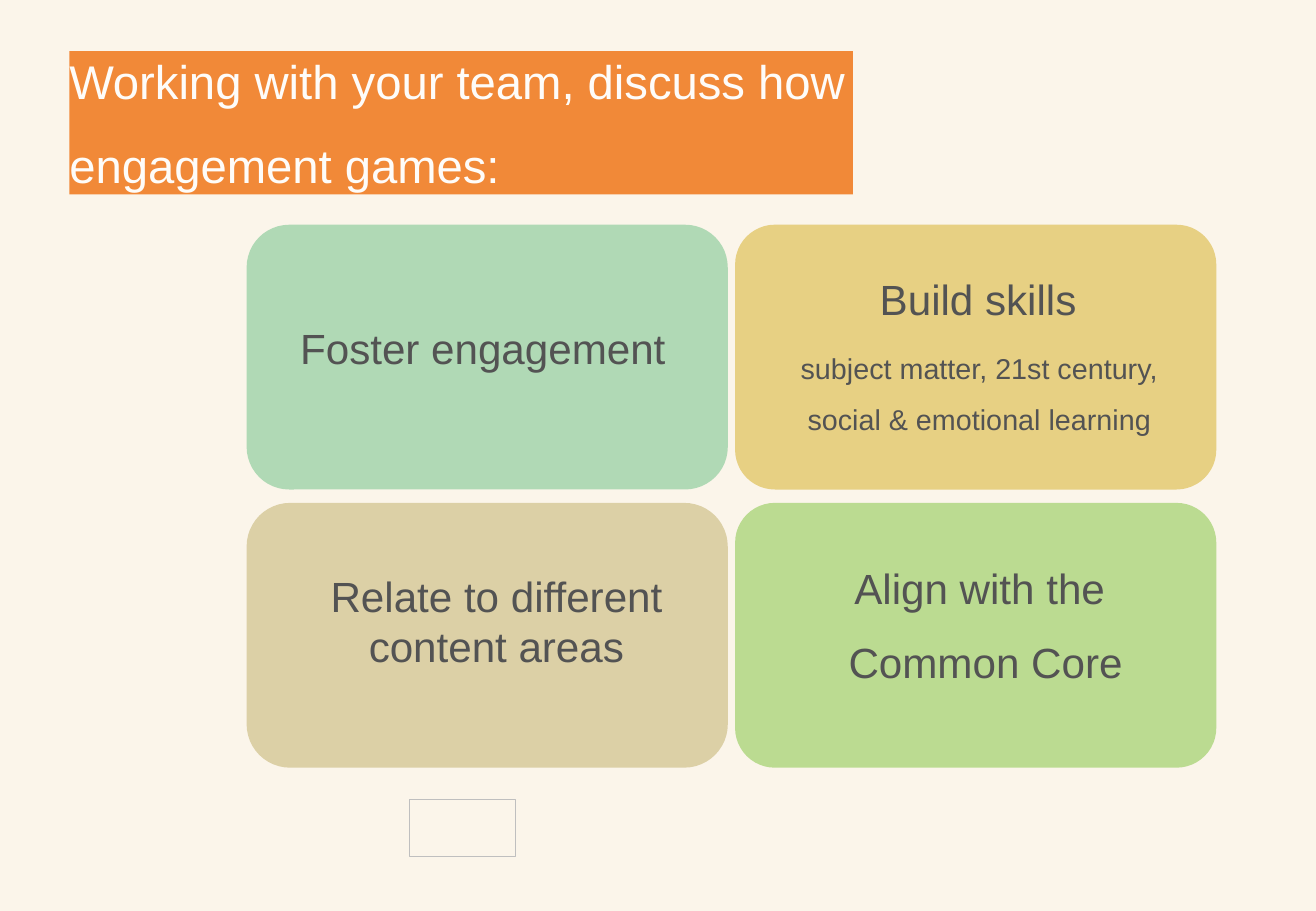
from pptx import Presentation
from pptx.dml.color import RGBColor
from pptx.enum.shapes import MSO_SHAPE
from pptx.enum.text import MSO_ANCHOR, PP_ALIGN
from pptx.util import Inches, Pt

RECTANGLE, ROUNDED = MSO_SHAPE.RECTANGLE, MSO_SHAPE.ROUNDED_RECTANGLE
LEFT, CENTER = PP_ALIGN.LEFT, PP_ALIGN.CENTER
MIDDLE = MSO_ANCHOR.MIDDLE

COLORS = {
    "background": "FBF5EA",
    "frame": "BFBFBF",
    "title": "F18938",
    "title text": "FEFCF9",
    "text": "535353",
    "mint": "B0D9B5",
    "gold": "E7D083",
    "sand": "DCD0A6",
    "green": "BBDB91",
}
SPACE_RATIO = 0.56  # space between paragraphs, relative to text size


def color(name):
    return RGBColor.from_string(COLORS[name])


def write(shape, lines, size, text_color, align, wrap=False):
    """Fill a shape with one paragraph per line, without insets."""
    frame = shape.text_frame
    frame.margin_left = frame.margin_right = 0
    frame.margin_top = frame.margin_bottom = 0
    frame.vertical_anchor = MIDDLE
    frame.word_wrap = wrap
    frame.text = "\n".join(lines)
    for index, paragraph in enumerate(frame.paragraphs):
        paragraph.alignment = align
        paragraph.font.name = "Arial"
        paragraph.font.size = Pt(size)
        paragraph.font.color.rgb = color(text_color)
        if index:
            paragraph.space_before = Pt(round(size * SPACE_RATIO))


prs = Presentation()
prs.slide_width, prs.slide_height = Inches(10.83), Inches(7.5)
slide = prs.slides.add_slide(prs.slide_layouts[6])
slide.background.fill.solid()
slide.background.fill.fore_color.rgb = color("background")
shapes = slide.shapes

footer_frame = shapes.add_shape(
    RECTANGLE, Inches(3.37), Inches(6.58), Inches(0.87), Inches(0.47))
footer_frame.shadow.inherit = False
footer_frame.fill.background()
footer_frame.line.color.rgb = color("frame")
footer_frame.line.width = Pt(0.75)

title = shapes.add_shape(
    RECTANGLE, Inches(0.57), Inches(0.42), Inches(6.45), Inches(1.18))
title.shadow.inherit = False
title.fill.solid()
title.fill.fore_color.rgb = color("title")
title.line.fill.background()
write(title, ["Working with your team, discuss how", "engagement games:"],
      28, "title text", LEFT)

# Two by two cards: fill and corner rounding, row by row
cards = [("mint", 0.161), ("gold", 0.15), ("sand", 0.164), ("green", 0.15)]
for index, (fill, rounding) in enumerate(cards):
    row, column = divmod(index, 2)
    card = shapes.add_shape(
        ROUNDED, Inches(2.03 + 4.02 * column), Inches(1.85 + 2.29 * row),
        Inches(3.96), Inches(2.18))
    card.adjustments[0] = rounding
    card.shadow.inherit = False
    card.fill.solid()
    card.fill.fore_color.rgb = color(fill)
    card.line.fill.background()

# Left, top, width, height, lines, size, alignment, wrapping
labels = [
    (2.47, 2.65, 3.04, 0.42, ["Foster engagement"], 25, LEFT, False),
    (7.24, 2.25, 1.64, 0.42, ["Build skills"], 25, LEFT, False),
    (6.58, 2.88, 2.96, 0.72,
     ["subject matter, 21st century,", "social & emotional learning"],
     17, CENTER, False),
    (2.44, 4.69, 3.29, 0.84, ["Relate to different content areas"],
     25, CENTER, True),
    (6.97, 4.62, 2.28, 1.05, ["Align with the ", "Common Core"],
     25, CENTER, False),
]
for left, top, width, height, lines, size, align, wrap in labels:
    label = shapes.add_textbox(
        Inches(left), Inches(top), Inches(width), Inches(height))
    write(label, lines, size, "text", align, wrap)

prs.save("out.pptx")
